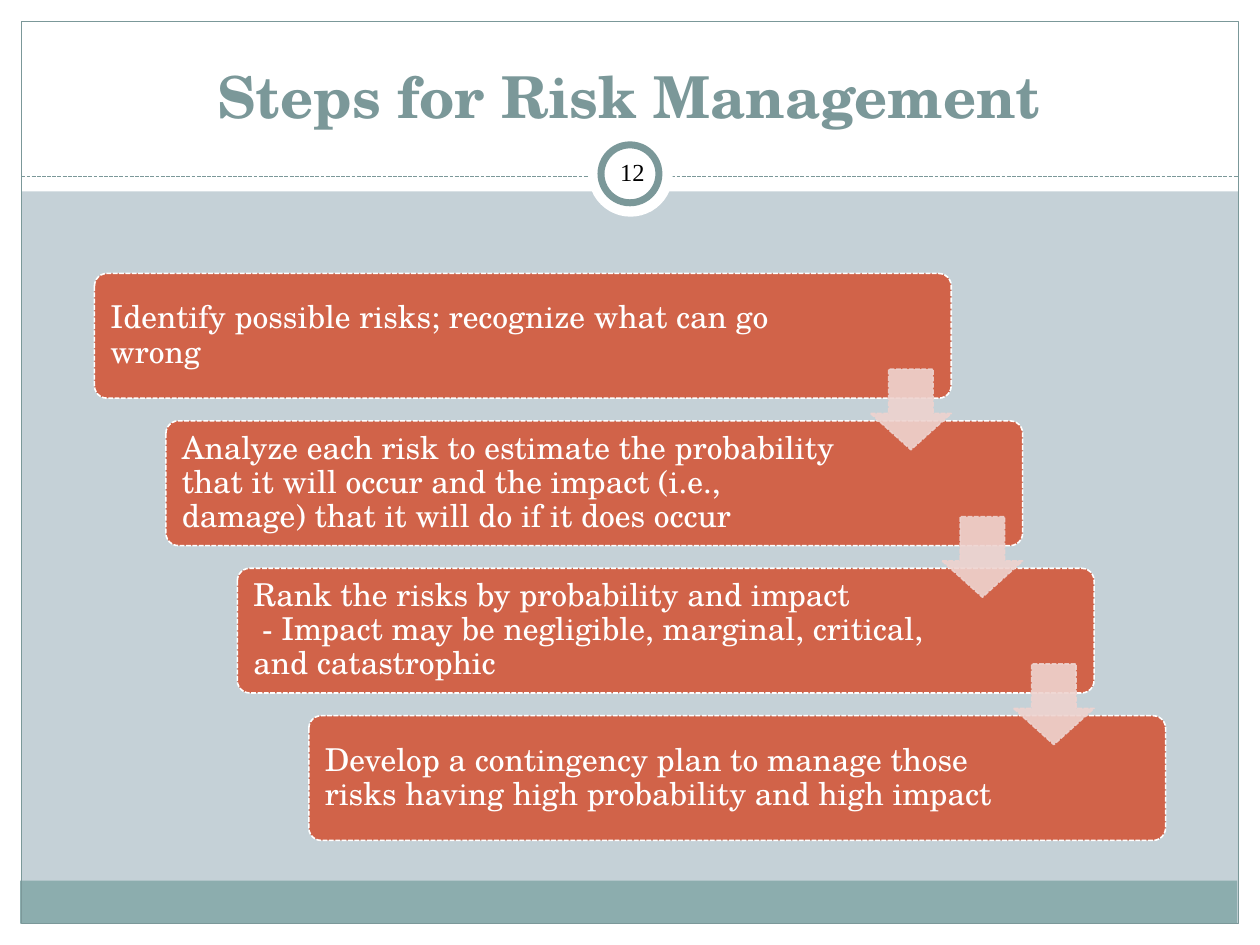
"""Build the slide on the steps for risk management."""
from dataclasses import dataclass
from typing import Optional

from lxml import etree
from pptx import Presentation
from pptx.dml.color import RGBColor
from pptx.enum.dml import MSO_LINE
from pptx.enum.shapes import MSO_CONNECTOR, MSO_SHAPE
from pptx.enum.text import MSO_ANCHOR, MSO_AUTO_SIZE, PP_ALIGN
from pptx.oxml.ns import qn
from pptx.util import Inches, Pt

RECT, OVAL = MSO_SHAPE.RECTANGLE, MSO_SHAPE.OVAL
ROUNDED, ARROW = MSO_SHAPE.ROUNDED_RECTANGLE, MSO_SHAPE.DOWN_ARROW
STRAIGHT, DASH = MSO_CONNECTOR.STRAIGHT, MSO_LINE.SQUARE_DOT
MIDDLE, BOTTOM = MSO_ANCHOR.MIDDLE, MSO_ANCHOR.BOTTOM
LEFT, CENTER = PP_ALIGN.LEFT, PP_ALIGN.CENTER
NO_FIT = MSO_AUTO_SIZE.NONE

WHITE = RGBColor(0xFF, 0xFF, 0xFF)
BLACK = RGBColor(0, 0, 0)
BACKGROUND = RGBColor(0xC5, 0xD1, 0xD7)
BAND = RGBColor(0x8C, 0xAD, 0xAE)
TEAL = RGBColor(0x7B, 0x98, 0x99)
RUST = RGBColor(0xD1, 0x63, 0x49)
PINK = RGBColor(0xEE, 0xD3, 0xCF)

SERIF = "TeX Gyre Schola"
STEP_W, STEP_H, ARROW_SIZE = 6.8, 0.99, 0.64
STEP_X, STEP_Y, STEP_DX, STEP_DY = 0.75, 2.17, 0.567, 1.17


@dataclass
class Box:
    x: float
    y: float
    w: float
    h: float
    fill: Optional[RGBColor] = None
    line: Optional[RGBColor] = None
    width: float = 0.75
    kind: int = RECT


@dataclass
class Step:
    text: str
    right_inset: float = 1.32


FRAME = [
    Box(0, 7.33, 10, 0.17, WHITE),
    Box(0, 0, 10, 1.52, WHITE),
    Box(0, 0, 0.17, 7.5, WHITE),
    Box(9.83, 0, 0.17, 7.5, WHITE),
    Box(0.16, 6.99, 9.66, 0.34, BAND),
    Box(0.17, 0.17, 9.66, 7.16, None, TEAL),
]
BADGE = [
    Box(4.67, 1.05, 0.67, 0.67, WHITE, kind=OVAL),
    Box(4.77, 1.15, 0.46, 0.46, WHITE, TEAL, 4, OVAL),
]
STEPS = [
    Step("Identify possible risks; recognize what can go wrong", 1.2),
    Step("Analyze each risk to estimate the probability that it will occur "
         "and the impact (i.e., damage) that it will do if it does occur"),
    Step("Rank the risks by probability and impact\v"
         " - Impact may be negligible, marginal, critical, and catastrophic"),
    Step("Develop a contingency plan to manage those risks having high "
         "probability and high impact"),
]


def add_box(slide, box: Box):
    sp = slide.shapes.add_shape(box.kind, Inches(box.x), Inches(box.y),
                                Inches(box.w), Inches(box.h))
    sp.shadow.inherit = False
    if box.fill is None:
        sp.fill.background()
    else:
        sp.fill.solid()
        sp.fill.fore_color.rgb = box.fill
    if box.line is None:
        sp.line.fill.background()
    else:
        sp.line.color.rgb = box.line
        sp.line.width = Pt(box.width)
    return sp


def write(sp, text: str, size: float, color: RGBColor, font: str = SERIF,
          align: int = CENTER, anchor: int = MIDDLE, bold: bool = False):
    tf = sp.text_frame
    tf.text = text
    tf.word_wrap = True
    tf.auto_size = NO_FIT
    tf.vertical_anchor = anchor
    p = tf.paragraphs[0]
    p.alignment = align
    for r in p.runs:
        r.font.name = font
        r.font.size = Pt(size)
        r.font.bold = bold
        r.font.color.rgb = color
    return tf


def set_insets(tf, inset: float, right: float) -> None:
    tf.margin_left = tf.margin_top = tf.margin_bottom = Inches(inset)
    tf.margin_right = Inches(right)


def add_rule(slide, x1: float, x2: float, y: float) -> None:
    line = slide.shapes.add_connector(STRAIGHT, Inches(x1), Inches(y), Inches(x2), Inches(y))
    line.line.color.rgb = TEAL
    line.line.width = Pt(0.75)
    line.line.dash_style = DASH
    etree.SubElement(line._element.spPr, qn("a:effectLst"))


def add_title(slide, text: str) -> None:
    title = slide.shapes.title
    title.left, title.top = Inches(0.33), Inches(0.25)
    title.width, title.height = Inches(9.33), Inches(0.83)
    write(title, text, 33, TEAL, anchor=BOTTOM, bold=True)
    slide.shapes._spTree.append(title._element)


def add_number(slide, text: str) -> None:
    sp = slide.shapes.add_textbox(Inches(4.77), Inches(1.12), Inches(0.5), Inches(0.48))
    set_insets(write(sp, text, 14, BLACK, "Times New Roman"), 0.05, 0.05)


def add_step(slide, index: int, step: Step) -> None:
    sp = add_box(slide, Box(STEP_X + index * STEP_DX, STEP_Y + index * STEP_DY,
                            STEP_W, STEP_H, RUST, WHITE, 0.91, ROUNDED))
    sp.adjustments[0] = 0.1
    sp.line.dash_style = DASH
    tf = write(sp, step.text, 18, WHITE, align=LEFT)
    set_insets(tf, 0.1, step.right_inset)
    p = tf.paragraphs[0]
    p.line_spacing = 0.9
    p.space_after = Pt(7.9)


def add_arrow(slide, index: int) -> None:
    x = STEP_X + STEP_W - ARROW_SIZE + index * STEP_DX
    y = STEP_Y + 0.76 + index * STEP_DY
    sp = add_box(slide, Box(x, y, ARROW_SIZE, ARROW_SIZE, PINK, PINK, 0.91, ARROW))
    sp.adjustments[0], sp.adjustments[1] = 0.55, 0.45
    sp.line.dash_style = DASH
    for color in sp._element.spPr.iter(qn("a:srgbClr")):
        etree.SubElement(color, qn("a:alpha"), val="90000")


def main() -> None:
    prs = Presentation()
    prs.slide_width, prs.slide_height = Inches(10), Inches(7.5)
    slide = prs.slides.add_slide(prs.slide_layouts[5])
    slide.background.fill.solid()
    slide.background.fill.fore_color.rgb = BACKGROUND
    for box in FRAME:
        add_box(slide, box)
    add_rule(slide, 0.17, 9.83, 1.4)
    for box in BADGE:
        add_box(slide, box)
    add_number(slide, "12")
    add_title(slide, "Steps for Risk Management")
    for i, step in enumerate(STEPS):
        add_step(slide, i, step)
    for i in range(len(STEPS) - 1):
        add_arrow(slide, i)
    prs.save("out.pptx")


if __name__ == "__main__":
    main()
